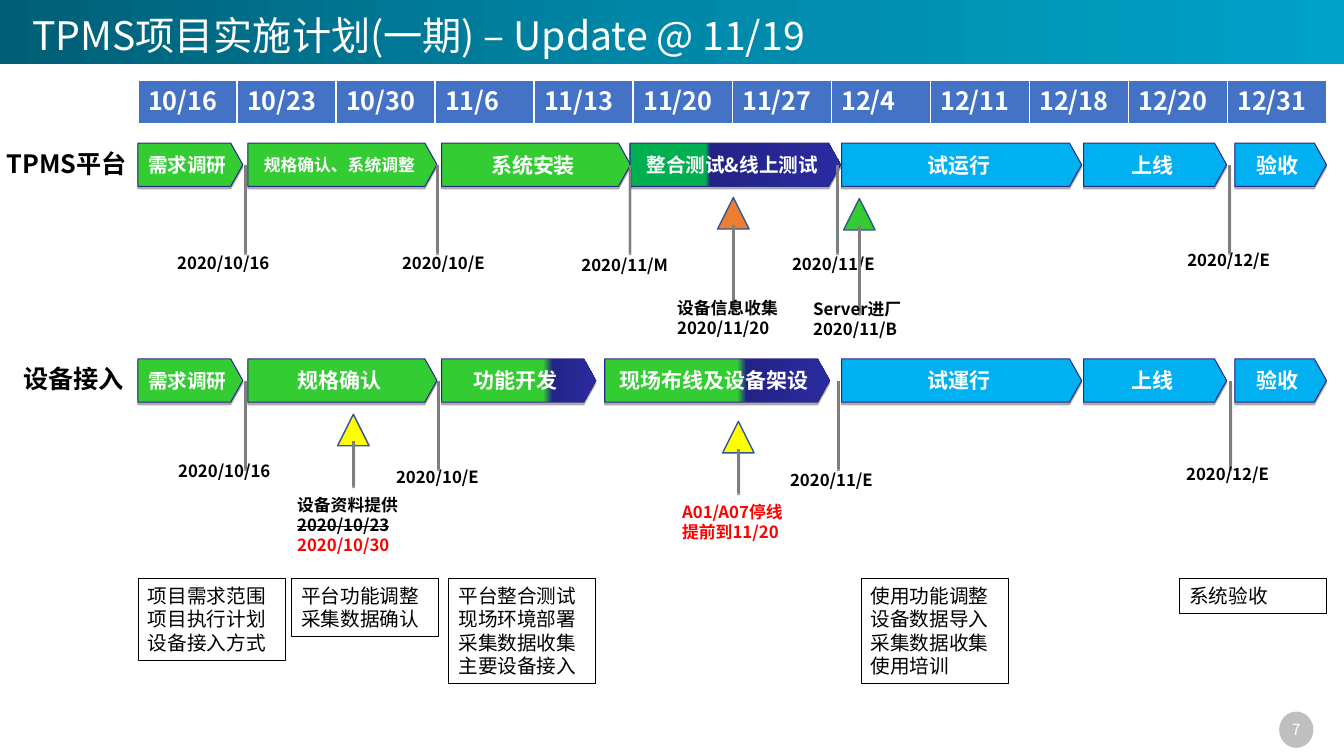
from lxml.etree import SubElement
from pptx import Presentation
from pptx.dml.color import RGBColor
from pptx.enum.shapes import MSO_CONNECTOR, MSO_SHAPE
from pptx.enum.text import MSO_ANCHOR, PP_ALIGN
from pptx.oxml.ns import qn
from pptx.util import Pt

FONT = "Noto Sans CJK SC"
WHITE = RGBColor(0xFF, 0xFF, 0xFF)
BLACK = RGBColor(0x00, 0x00, 0x00)
RED = RGBColor(0xFF, 0x00, 0x00)
GREEN = RGBColor(0x33, 0xCC, 0x33)
DEEP_GREEN = RGBColor(0x00, 0xB0, 0x50)
SKY = RGBColor(0x00, 0xB0, 0xF0)
NAVY = RGBColor(0x23, 0x23, 0x86)
INDIGO = RGBColor(0x2B, 0x2B, 0xA1)
OUTLINE = RGBColor(0x29, 0x29, 0x89)
ORANGE = RGBColor(0xED, 0x7D, 0x31)
YELLOW = RGBColor(0xFF, 0xFF, 0x00)
TRIANGLE_EDGE = RGBColor(0x32, 0x54, 0x91)
GREY = RGBColor(0x7F, 0x7F, 0x7F)
LIGHT_GREY = RGBColor(0xBF, 0xBF, 0xBF)
TABLE_BLUE = RGBColor(0x44, 0x72, 0xC4)
BAND = [(0, RGBColor(0x00, 0x5F, 0x76)), (50, RGBColor(0x00, 0x88, 0xA9)),
        (100, RGBColor(0x00, 0xA1, 0xC8))]

LEFT, WIDTH = 98.6, 849
WEEKS = ["10/16", "10/23", "10/30", "11/6", "11/13", "11/20",
         "11/27", "12/4", "12/11", "12/18", "12/20", "12/31"]


def progress(done, until, start):
    """Return gradient stops for a phase that is partly done."""
    return [(until, done), (start, NAVY), (100, INDIGO)]


PLATFORM_PHASES = [
    ("需求调研", LEFT, 74.9, GREEN, 14),
    ("规格确认、系统调整", 177.1, 135, GREEN, 12),
    ("系统安装", 315.4, 135, GREEN, 15),
    ("整合测试&线上测试", 450, 150.5, progress(DEEP_GREEN, 36, 38), 14),
    ("试运行", 601.2, 171.4, SKY, 15),
    ("上线", 774, 102.2, SKY, 15),
    ("验收", 882, 65.5, SKY, 15),
]
DEVICE_PHASES = [
    ("需求调研", LEFT, 74.9, GREEN, 14),
    ("规格确认", 177.1, 135, GREEN, 15),
    ("功能开发", 315.4, 110.2, progress(GREEN, 66, 72), 15),
    ("现场布线及设备架设", 432, 160.6, progress(GREEN, 59, 63), 15),
    ("试運行", 601.2, 171.4, SKY, 15),
    ("上线", 774, 102.2, SKY, 15),
    ("验收", 882, 65.5, SKY, 15),
]
PLATFORM_DEADLINES = [
    ("2020/10/16", 175.3, 119.5, 177.1), ("2020/10/E", 312.5, 280.1, 177.1),
    ("2020/11/M", 450, 408.2, 178.6), ("2020/11/E", 598.3, 558.7, 177.8),
    ("2020/12/E", 878.4, 841, 175),
]
DEVICE_DEADLINES = [
    ("2020/10/16", 175.3, 120.2, 325.4), ("2020/10/E", 313.2, 275.8, 329.8),
    ("2020/11/E", 599, 557.3, 331.9), ("2020/12/E", 879.1, 840.2, 327.6),
]
MILESTONES = [
    (602.6, 141.8, 62.6, GREEN, 209.5, ["Server进厂", "2020/11/B"]),
    (512.6, 141.1, 62.6, ORANGE, 208.8, ["设备信息收集", "2020/11/20"]),
    (241.2, 295.9, 31.7, YELLOW, 349.9,
     ["设备资料提供", ("2020/10/23", {"strike": True}), ("2020/10/30", {"color": RED})]),
    (516.2, 301, 31.7, YELLOW, 355,
     [("A01/A07停线", {"color": RED}), ("提前到11/20", {"color": RED})]),
]
NOTES = [
    (LEFT, ["项目需求范围", "项目执行计划", "设备接入方式"]),
    (208.1, ["平台功能调整", "采集数据确认"]),
    (320.4, ["平台整合测试", "现场环境部署", "采集数据收集", "主要设备接入"]),
    (614.9, ["使用功能调整", "设备数据导入", "采集数据收集", "使用培训"]),
    (842.4, ["系统验收"]),
]


def write(frame, lines, size=12, color=BLACK, bold=False, align=PP_ALIGN.LEFT,
          anchor=MSO_ANCHOR.TOP, wrap=True):
    """Fill a text frame; a line is a string or a string with overrides."""
    frame.word_wrap = wrap
    frame.vertical_anchor = anchor
    for index, line in enumerate(lines):
        text, changes = (line, {}) if isinstance(line, str) else line
        para = frame.add_paragraph() if index else frame.paragraphs[0]
        para.alignment = align
        para.line_spacing = Pt(round(size * 1.2, 2))
        span = para.add_run()
        span.text = text
        span.font.name, span.font.size, span.font.bold = FONT, Pt(size), bold
        span.font.color.rgb = changes.get("color", color)
        properties = span.font._element
        SubElement(properties, qn("a:ea"), typeface=FONT)
        if changes.get("strike"):
            properties.set("strike", "sngStrike")


def paint(shape, fill):
    """Fill a shape with a colour, gradient stops or nothing."""
    if fill is None:
        shape.fill.background()
    elif isinstance(fill, RGBColor):
        shape.fill.solid()
        shape.fill.fore_color.rgb = fill
    else:
        shape.fill.gradient()
        shape.fill.gradient_angle = 0
        stops = shape.element.spPr.find(qn("a:gradFill")).find(qn("a:gsLst"))
        for stop in list(stops):
            stops.remove(stop)
        for position, color in fill:
            stop = SubElement(stops, qn("a:gs"), pos=str(position * 1000))
            SubElement(stop, qn("a:srgbClr"), val=str(color))


def add_shape(page, kind, box, fill=None, edge=None, edge_width=1):
    """Add a preset shape without a shadow."""
    shape = page.shapes.add_shape(kind, *(Pt(length) for length in box))
    paint(shape, fill)
    if edge is None:
        shape.line.fill.background()
    else:
        shape.line.color.rgb, shape.line.width = edge, Pt(edge_width)
    shape.shadow.inherit = False
    return shape


def drop_shadow(effects, distance, opacity):
    """Put a hard shadow straight below into an effect list."""
    shadow = SubElement(effects, qn("a:outerShdw"), blurRad="0", dist=str(Pt(distance)),
                        dir="5400000", algn="t", rotWithShape="0")
    color = SubElement(shadow, qn("a:srgbClr"), val=str(BLACK))
    SubElement(color, qn("a:alpha"), val=str(opacity * 1000))


def add_label(page, left, top, lines, width=110, **style):
    """Add a bold text label."""
    box = page.shapes.add_textbox(Pt(left), Pt(top), Pt(width), Pt(29))
    write(box.text_frame, lines, bold=True, **style)


def add_stem(page, x, top, length):
    """Add a vertical grey line with a shadow."""
    stem = page.shapes.add_connector(MSO_CONNECTOR.STRAIGHT, Pt(x), Pt(top),
                                     Pt(x), Pt(top + length))
    stem.line.color.rgb, stem.line.width = GREY, Pt(2)
    drop_shadow(SubElement(stem.element.spPr, qn("a:effectLst")), 1.6, 36)


def add_header(page, text):
    """Set the title on its gradient band."""
    title = page.shapes.title
    title.left, title.top, title.width, title.height = Pt(15.8), Pt(6.5), Pt(608.4), Pt(37.4)
    write(title.text_frame, [text], size=28, color=WHITE, anchor=MSO_ANCHOR.MIDDLE)
    band = add_shape(page, MSO_SHAPE.RECTANGLE, (0, 0, 960, 46), BAND)
    title.element.addprevious(band.element)


def add_calendar(page, left, top, width, height):
    """Add the one-row table of weeks."""
    table = page.shapes.add_table(1, len(WEEKS), Pt(left), Pt(top), Pt(width), Pt(height)).table
    for cell, week in zip(table.rows[0].cells, WEEKS):
        paint(cell, TABLE_BLUE)
        cell.vertical_anchor = MSO_ANCHOR.MIDDLE
        write(cell.text_frame, [week], size=18, color=WHITE, bold=True,
              anchor=MSO_ANCHOR.MIDDLE)


def add_track(page, top, name, name_left, phases, deadlines):
    """Add a named row of phase arrows with its deadlines."""
    add_label(page, name_left, top, [name], width=131, size=18)
    for text, left, width, fill, size in phases:
        arrow = add_shape(page, MSO_SHAPE.PENTAGON, (left, top, width, 31), fill, OUTLINE, 0.75)
        arrow.adjustments[0] = 0.28
        drop_shadow(arrow.element.spPr.find(qn("a:effectLst")), 1.8, 33)
        frame = arrow.text_frame
        frame.margin_left = frame.margin_right = 0
        write(frame, [text], size=size, color=WHITE, bold=True, align=PP_ALIGN.CENTER,
              anchor=MSO_ANCHOR.MIDDLE, wrap=False)
    for date, x, label_left, label_top in deadlines:
        add_stem(page, x, top + 15.8, 62.6)
        add_label(page, label_left, label_top, [date])


def add_milestone(page, left, top, length, color, label_top, lines):
    """Add a triangle on a stem with a label below."""
    add_shape(page, MSO_SHAPE.ISOSCELES_TRIANGLE, (left, top, 22.5, 22.5), color, TRIANGLE_EDGE)
    add_stem(page, left + 11.4, top + 19.4, length)
    add_label(page, left - 36 if color != GREEN else left - 28.8, label_top, lines)


def add_note(page, left, top, lines):
    """Add an outlined list whose height follows its lines."""
    box = (left, top, 105.1, 16.8 * len(lines) + 7.6)
    note = add_shape(page, MSO_SHAPE.RECTANGLE, box, None, BLACK, 0.25)
    write(note.text_frame, lines, size=14)


def add_page_number(page, number):
    """Add the page number on its grey disc."""
    disc = add_shape(page, MSO_SHAPE.OVAL, (913.7, 508.3, 24.5, 25.9), LIGHT_GREY)
    frame = disc.text_frame
    frame.margin_left = frame.margin_right = frame.margin_top = frame.margin_bottom = 0
    write(frame, [number], size=11, color=WHITE, align=PP_ALIGN.CENTER,
          anchor=MSO_ANCHOR.MIDDLE, wrap=False)


def main():
    """Build the plan slide and save it."""
    deck = Presentation()
    deck.slide_width, deck.slide_height = Pt(960), Pt(540)
    page = deck.slides.add_slide(deck.slide_layouts[5])
    add_header(page, "TPMS项目实施计划(一期) – Update @ 11/19")
    add_calendar(page, LEFT, 57.6, WIDTH, 31)
    add_track(page, 102.2, "TPMS平台", -2.2, PLATFORM_PHASES, PLATFORM_DEADLINES)
    add_track(page, 256.3, "设备接入", 9.4, DEVICE_PHASES, DEVICE_DEADLINES)
    for milestone in MILESTONES:
        add_milestone(page, *milestone)
    for left, lines in NOTES:
        add_note(page, left, 413.3, lines)
    add_page_number(page, "7")
    deck.save("out.pptx")


if __name__ == "__main__":
    main()
